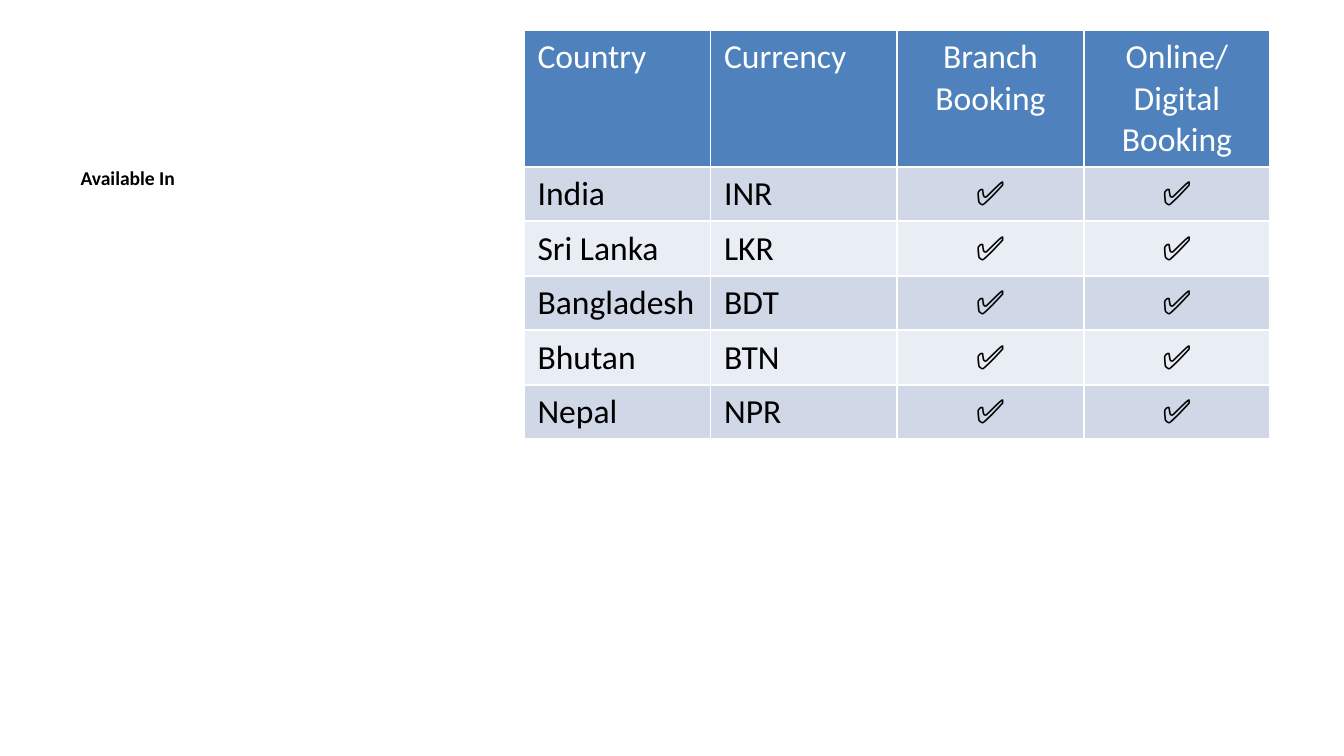
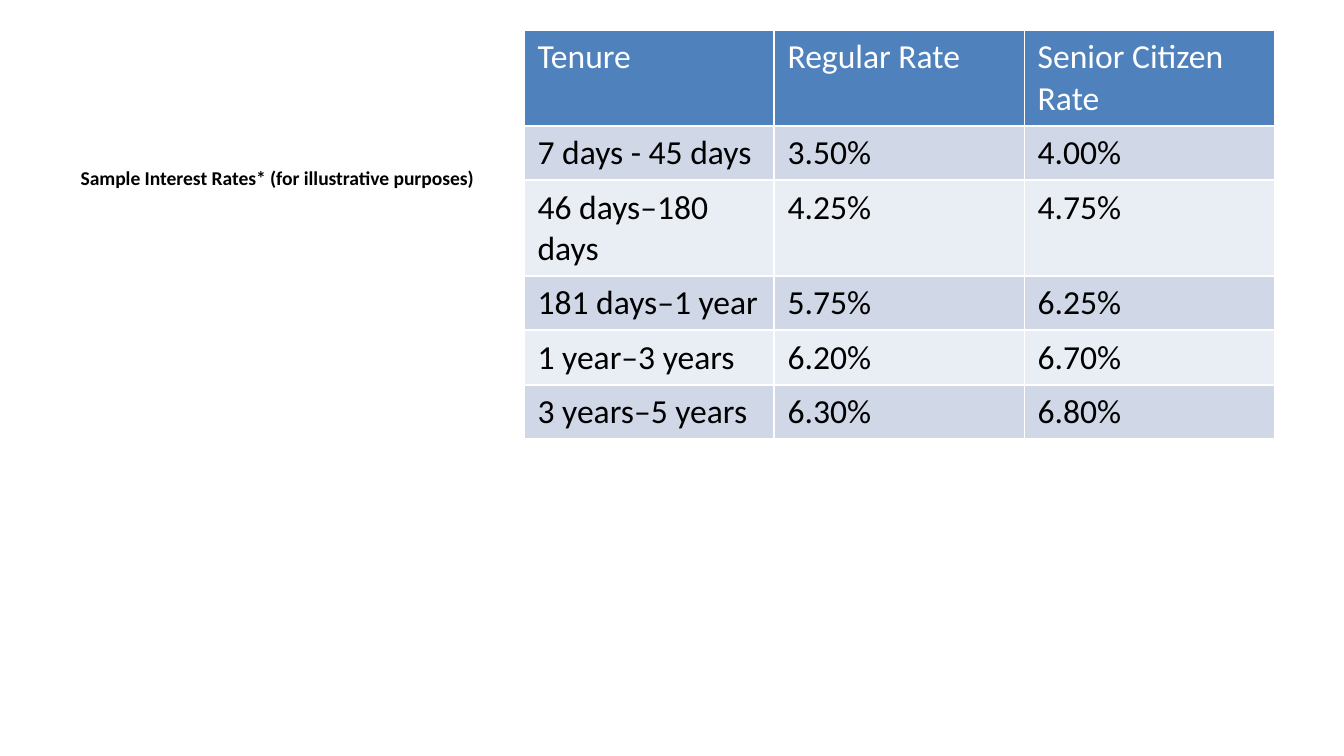
from lxml.etree import SubElement
from pptx import Presentation
from pptx.dml.color import RGBColor
from pptx.enum.text import MSO_ANCHOR, PP_ALIGN as Align
from pptx.oxml.ns import qn
from pptx.util import Inches, Pt

GRID = 100
CHECK = "✅"


def rgb(value):
    return RGBColor.from_string(value)


class Deck:
    font = "Calibri"
    ink, paper = "000000", "FFFFFF"
    header, bands = "4F81BD", ("E9EDF4", "D0D8E8")
    label_size, table_size = 10.5, 18
    padding, line = 1.8, 5.4

    def __init__(self, width, height):
        self.prs = Presentation()
        self.prs.slide_width = Inches(width)
        self.prs.slide_height = Inches(height)
        self.s = None

    def x(self, cols):
        return int(self.prs.slide_width * cols / GRID)

    def y(self, rows):
        return int(self.prs.slide_height * rows / GRID)

    def slide(self):
        self.s = self.prs.slides.add_slide(self.prs.slide_layouts[1])
        self.s.background.fill.solid()
        self.s.background.fill.fore_color.rgb = rgb(self.paper)
        title = self.s.shapes.title.element
        title.getparent().remove(title)

    def style(self, p, size, color, bold=False):
        for r in p.runs:
            r.font.name = self.font
            r.font.size = Pt(size)
            r.font.bold = bold
            r.font.color.rgb = rgb(color)

    def label(self, text):
        sp = self.s.placeholders[1]
        sp.left, sp.top = self.x(5), self.y(21)
        sp.width, sp.height = self.x(32.9), self.y(68.5)
        tf = sp.text_frame
        tf.text = text
        tf.word_wrap = True
        tf.vertical_anchor = MSO_ANCHOR.TOP
        p = tf.paragraphs[0]
        pPr = p._p.get_or_add_pPr()
        pPr.set("marL", "0")
        pPr.set("indent", "0")
        SubElement(pPr, qn("a:buNone"))
        p.space_before = Pt(0)
        self.style(p, self.label_size, self.ink, True)

    def cell(self, cell, text, row, centred):
        head = row == 0
        cell.text = text
        cell.fill.solid()
        cell.fill.fore_color.rgb = rgb(self.header if head else self.bands[row % 2])
        p = cell.text_frame.paragraphs[0]
        p.alignment = Align.CENTER if centred else Align.LEFT
        self.style(p, self.table_size, self.paper if head else self.ink)

    def table(self, rows, col_width, lines, centred=()):
        heights = [self.y(self.padding + self.line * n) for n in lines]
        count = len(rows[0])
        table = self.s.shapes.add_table(
            len(rows), count, self.x(39), self.y(4),
            self.x(col_width * count), sum(heights)).table
        for column in table.columns:
            column.width = self.x(col_width)
        for i, values in enumerate(rows):
            table.rows[i].height = heights[i]
            for j, text in enumerate(values):
                self.cell(table.cell(i, j), text, i, j in centred)


def main():
    deck = Deck(10, 10 * 9 / 16)

    deck.slide()
    deck.label("Available In")
    currencies = [("India", "INR"), ("Sri Lanka", "LKR"), ("Bangladesh", "BDT"),
                  ("Bhutan", "BTN"), ("Nepal", "NPR")]
    countries = [("Country", "Currency", "Branch Booking", "Online/Digital Booking")]
    countries += [(*pair, CHECK, CHECK) for pair in currencies]
    deck.table(countries, 13.88, (3, 1, 1, 1, 1, 1), centred=(2, 3))

    deck.slide()
    deck.label("Sample Interest Rates* (for illustrative purposes)")
    rates = [
        ("Tenure", "Regular Rate", "Senior Citizen Rate"),
        ("7 days - 45 days", "3.50%", "4.00%"),
        ("46 days–180 days", "4.25%", "4.75%"),
        ("181 days–1 year", "5.75%", "6.25%"),
        ("1 year–3 years", "6.20%", "6.70%"),
        ("3 years–5 years", "6.30%", "6.80%"),
    ]
    deck.table(rates, 18.61, (2, 1, 2, 1, 1, 1))

    deck.prs.save("out.pptx")


if __name__ == "__main__":
    main()
